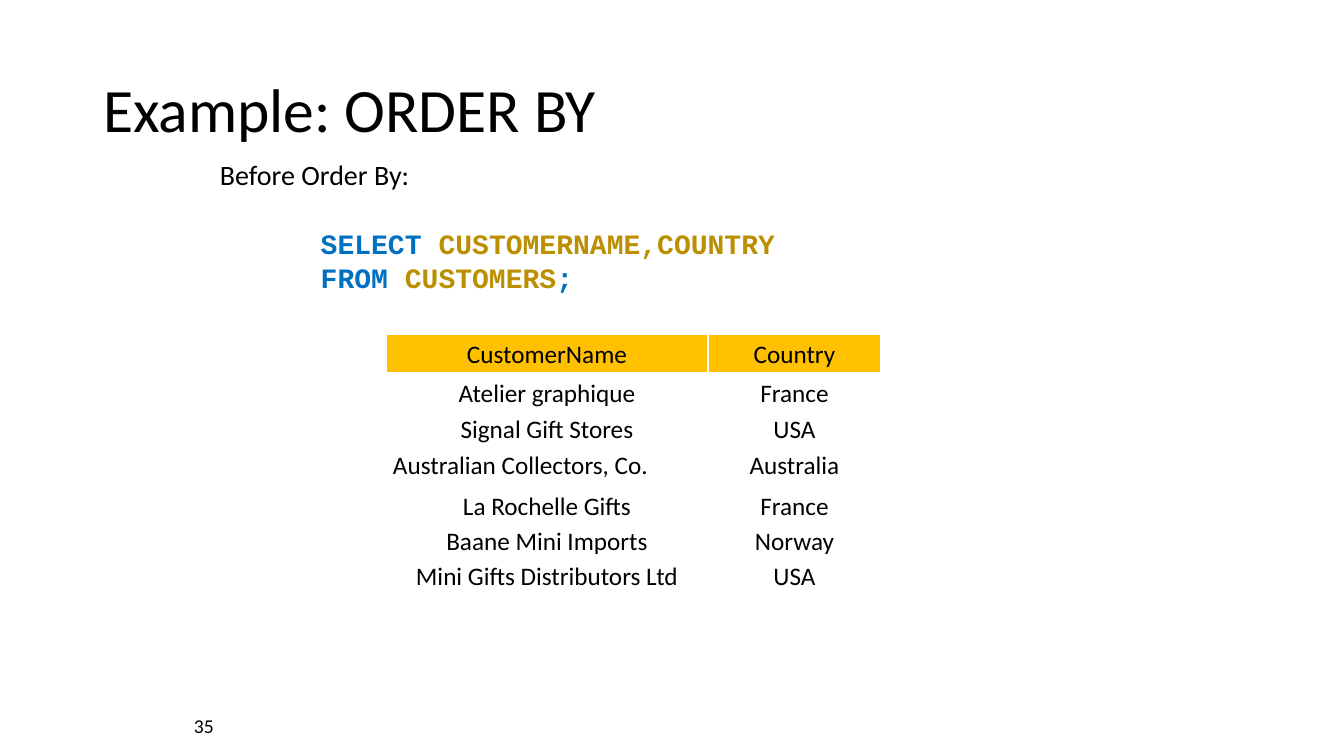
from lxml import etree
from pptx import Presentation
from pptx import util as u
from pptx.dml.color import RGBColor
from pptx.enum import text as t
from pptx.oxml.ns import qn

PX = 914400 / 100.8  # EMU in one px
THEME = {
    "ink": "000000", "paper": "FFFFFF", "keyword": "0070C0",
    "identifier": "BC8F00", "header": "FFC000",
    "font": "Calibri", "code_font": "Courier New",
    "title": 44, "lead": 20, "cell": 18, "number": 14,
}


def px(*lengths):
    return [u.Emu(round(length * PX)) for length in lengths]


def write(paragraph, text, size, color="ink", font="font", bold=False,
          align=t.PP_ALIGN.LEFT, spacing=None):
    paragraph.alignment = align
    if spacing:
        paragraph.line_spacing = spacing
    run = paragraph.add_run()
    run.text = text
    run.font.name = THEME[font]
    run.font.size = u.Pt(THEME[size])
    run.font.bold = bold
    run.font.color.rgb = RGBColor.from_string(THEME[color])


presentation = Presentation()
presentation.slide_width, presentation.slide_height = px(1344, 756)
slide = presentation.slides.add_slide(presentation.slide_layouts[5])

# Title
title = slide.shapes.title
title.left, title.top, title.width, title.height = px(93, 40, 1159, 146)
title.text_frame.auto_size = t.MSO_AUTO_SIZE.NONE
title.text_frame.vertical_anchor = t.MSO_ANCHOR.MIDDLE
write(title.text_frame.paragraphs[0], "Example: ORDER BY", "title", spacing=0.9)

# Lead-in and query
query = slide.shapes.add_textbox(*px(210, 153, 802, 179)).text_frame
query.word_wrap = True
write(query.paragraphs[0], "Before Order By:", "lead")
code_lines = [
    [("SELECT ", "keyword"), ("CUSTOMERNAME,COUNTRY", "identifier")],
    [("FROM ", "keyword"), ("CUSTOMERS", "identifier"), (";", "keyword")],
]
for number, code_line in enumerate(code_lines):
    paragraph = query.add_paragraph()
    paragraph.space_before = u.Pt(0 if number else 25)
    paragraph._p.get_or_add_pPr().set("marL", str(u.Inches(1)))
    for token, color in code_line:
        write(paragraph, token, "lead", color=color, font="code_font",
              bold=True, spacing=u.Pt(24))

# Customer table
customers = [
    ("CustomerName", "Country"),
    ("Atelier graphique", "France"),
    ("Signal Gift Stores", "USA"),
    ("Australian Collectors, Co.", "Australia"),
    ("La Rochelle Gifts", "France"),
    ("Baane Mini Imports", "Norway"),
    ("Mini Gifts Distributors Ltd", "USA"),
]
column_widths = [322, 173]
row_heights = [38, 36, 36, 41, 30, 30, 39]
table = slide.shapes.add_table(
    len(customers), len(column_widths),
    *px(386, 334, sum(column_widths), sum(row_heights))).table
table.horz_banding = False
for column, width in zip(table.columns, px(*column_widths)):
    column.width = width
for row, height in zip(table.rows, px(*row_heights)):
    row.height = height

for row_index, record in enumerate(customers):
    is_header = row_index == 0
    for column_index, value in enumerate(record):
        cell = table.cell(row_index, column_index)
        properties = cell._tc.get_or_add_tcPr()
        for side in ("lnL", "lnR", "lnT", "lnB"):
            points = 3 if is_header and side == "lnB" else 1
            border = etree.SubElement(properties, qn(f"a:{side}"), w=str(u.Pt(points)))
            border_fill = etree.SubElement(border, qn("a:solidFill"))
            etree.SubElement(border_fill, qn("a:srgbClr"), val=THEME["paper"])
        if is_header:
            cell.fill.solid()
            cell.fill.fore_color.rgb = RGBColor.from_string(THEME["header"])
            cell.vertical_anchor = t.MSO_ANCHOR.MIDDLE
        else:
            cell.fill.background()
            cell.margin_left, cell.margin_right = px(7, 7)
            cell.margin_top = cell.margin_bottom = 0
        flush_left = value.startswith("Australian")
        write(cell.text_frame.paragraphs[0], value, "cell",
              align=t.PP_ALIGN.LEFT if flush_left else t.PP_ALIGN.CENTER,
              spacing=None if is_header else 1.15)

# Slide number
page_number = slide.shapes.add_textbox(*px(184, 709, 50, 30)).text_frame
page_number.word_wrap = True
write(page_number.paragraphs[0], "35", "number")

presentation.save("out.pptx")
